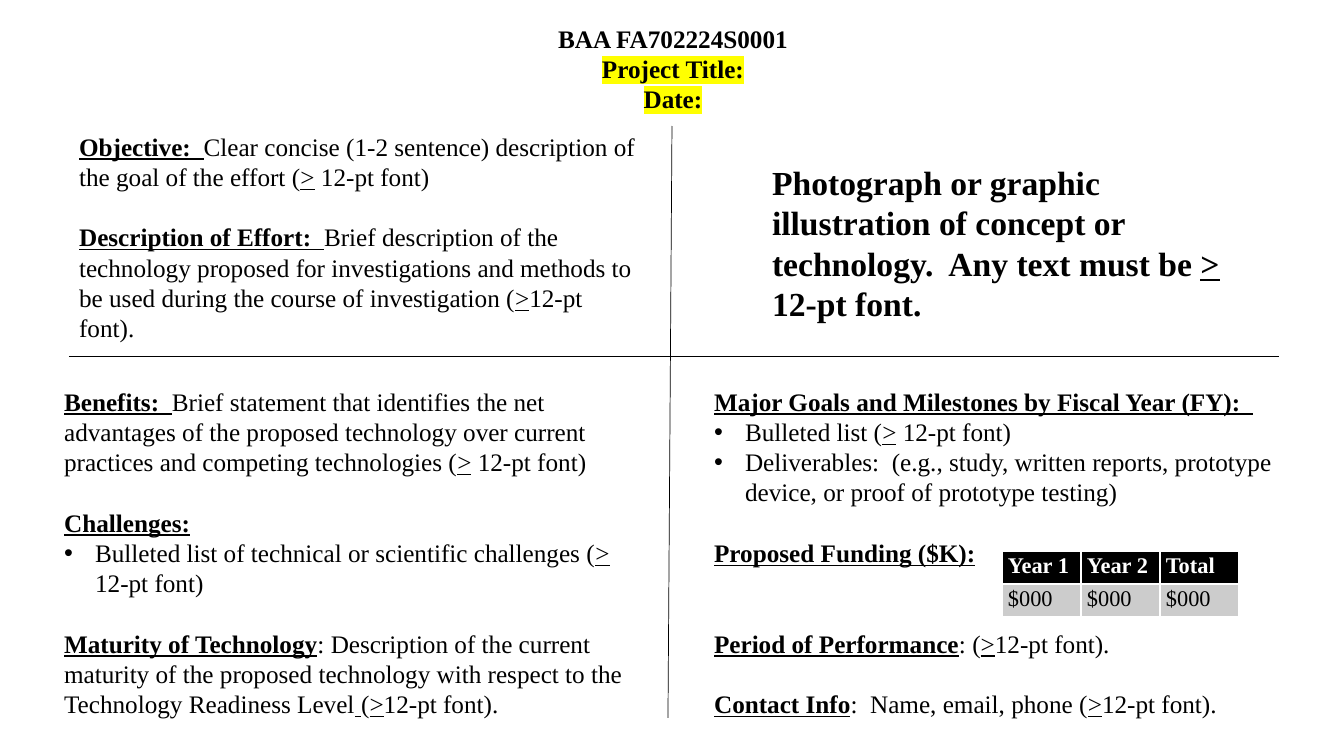
from dataclasses import dataclass

from lxml import etree
from pptx import Presentation
from pptx import util as u
from pptx.dml.color import RGBColor
from pptx.enum import shapes, text
from pptx.oxml.ns import qn

PX_PER_INCH = 100.8
COMPARISON_LAYOUT = 4  # a title and four bodies


@dataclass(frozen=True)
class Theme:
    font: str = "Times New Roman"
    ink: str = "000000"
    paper: str = "FFFFFF"
    cell: str = "CCCCCC"
    marker: str = "FFFF00"
    body: int = 18
    photo: int = 24
    table: int = 16
    gap: float = 21.6  # one empty line of body text
    rule: float = 0.5


THEME = Theme()


@dataclass(frozen=True)
class Entry:
    """One paragraph: a bold underlined heading, then detail with _underlined_ parts."""
    heading: str = ""
    detail: str = ""
    lines_before: int = 0
    bullet: bool = False


OBJECTIVE = [
    Entry("Objective:  ", "Clear concise (1-2 sentence) description of the goal "
          "of the effort (_>_ 12-pt font)"),
    Entry("Description of Effort:  ", "Brief description of the technology proposed for "
          "investigations and methods to be used during the course of investigation "
          "(_>_12-pt font).", 1),
]
PHOTO = [Entry(detail="Photograph or graphic illustration of concept or technology.  "
               "Any text must be _>_ 12-pt font.")]
BENEFITS = [
    Entry("Benefits:  ", "Brief statement that identifies the net advantages of the proposed "
          "technology over current practices and competing technologies (_>_ 12-pt font)"),
    Entry("Challenges:", lines_before=1),
    Entry(detail="Bulleted list of technical or scientific challenges (_>_ 12-pt font)",
          bullet=True),
    Entry("Maturity of Technology", ": Description of the current maturity of the proposed "
          "technology with respect to the Technology Readiness Level_ _(_>_12-pt font).", 1),
]
MILESTONES = [
    Entry("Major Goals and Milestones by Fiscal Year (FY):  "),
    Entry(detail="Bulleted list (_>_ 12-pt font)", bullet=True),
    Entry(detail="Deliverables:  (e.g., study, written reports, prototype device, "
          "or proof of prototype testing)", bullet=True),
    Entry("Proposed Funding ($K):", lines_before=1),
    Entry("Period of Performance", ": (_>_12-pt font).", 2),
    Entry("Contact Info", ":  Name, email, phone (_>_12-pt font).", 1),
]
FUNDING = [["Year 1", "Year 2", "Total"], ["$000"] * 3]


def px(length):
    return u.Emu(round(length * 914400 / PX_PER_INCH))


def write(paragraph, words, size=THEME.body, color=THEME.ink, bold=False,
          underline=False, highlight=None):
    run = paragraph.add_run()
    run.text = words
    font = run.font
    font.name, font.size = THEME.font, u.Pt(size)
    font.bold, font.underline = bold, underline
    font.color.rgb = RGBColor.from_string(color)
    if highlight:
        mark = etree.Element(qn("a:highlight"))
        etree.SubElement(mark, qn("a:srgbClr"), val=highlight)
        run._r.rPr.find(qn("a:solidFill")).addnext(mark)


def set_bullet(paragraph, bullet):
    properties = paragraph._p.get_or_add_pPr()
    indent = px(31) if bullet else 0
    properties.set("marL", str(indent))
    properties.set("indent", str(-indent))
    if bullet:
        etree.SubElement(properties, qn("a:buFont"), typeface="Arial")
        etree.SubElement(properties, qn("a:buChar"), char="•")
    else:
        etree.SubElement(properties, qn("a:buNone"))


def place(placeholder, left, top, width, height, wrap=True):
    placeholder.left, placeholder.top = px(left), px(top)
    placeholder.width, placeholder.height = px(width), px(height)
    frame = placeholder.text_frame
    frame.word_wrap = wrap
    frame.auto_size = text.MSO_AUTO_SIZE.NONE
    frame.vertical_anchor = text.MSO_ANCHOR.TOP
    return frame


def fill_title(placeholder, lines, box):
    paragraph = place(placeholder, *box, wrap=False).paragraphs[0]
    paragraph.alignment = text.PP_ALIGN.CENTER
    for number, line in enumerate(lines):
        if number:
            paragraph.add_line_break()
        write(paragraph, line, bold=True, highlight=THEME.marker if number else None)
    for line_break in paragraph._p.findall(qn("a:br")):
        etree.SubElement(line_break, qn("a:rPr"), sz=str(THEME.body * 100))


def fill_quadrant(placeholder, entries, box, size=THEME.body, bold=False):
    frame = place(placeholder, *box)
    for number, entry in enumerate(entries):
        paragraph = frame.add_paragraph() if number else frame.paragraphs[0]
        set_bullet(paragraph, entry.bullet)
        paragraph.space_before = u.Pt(THEME.gap * entry.lines_before)
        if entry.heading:
            write(paragraph, entry.heading, size, bold=True, underline=True)
        for part, words in enumerate(entry.detail.split("_")):
            if words:
                write(paragraph, words, size, bold=bold, underline=part % 2 == 1)


def add_rule(slide, *ends):
    line = slide.shapes.add_connector(shapes.MSO_CONNECTOR.STRAIGHT, *map(px, ends))
    line.line.color.rgb = RGBColor.from_string(THEME.ink)
    line.line.width = u.Pt(THEME.rule)
    etree.SubElement(line._element.spPr, qn("a:effectLst"))


def add_funding_table(slide, rows, left, top, width, height):
    table = slide.shapes.add_table(len(rows), len(rows[0]), px(left), px(top),
                                   px(width), px(height)).table
    for row, values in enumerate(rows):
        header = row == 0
        for column, value in enumerate(values):
            cell = table.cell(row, column)
            cell.margin_left = cell.margin_right = px(6)
            cell.margin_top = cell.margin_bottom = px(3)
            cell.fill.solid()
            cell.fill.fore_color.rgb = RGBColor.from_string(THEME.ink if header else THEME.cell)
            write(cell.text_frame.paragraphs[0], value, THEME.table,
                  THEME.paper if header else THEME.ink, bold=header)


def main():
    presentation = Presentation()
    presentation.slide_width, presentation.slide_height = px(1344), px(756)
    slide = presentation.slides.add_slide(presentation.slide_layouts[COMPARISON_LAYOUT])
    title, objective, benefits, photo, milestones = slide.placeholders

    add_rule(slide, 672, 126, 668, 718)
    add_rule(slide, 69, 356, 1279, 356)
    fill_title(title, ["BAA FA702224S0001", "Project Title:", "Date:"], (547, 18, 252, 102))
    fill_quadrant(objective, OBJECTIVE, (69, 126, 582, 224))
    fill_quadrant(photo, PHOTO, (762, 157, 479, 173), THEME.photo, bold=True)
    fill_quadrant(benefits, BENEFITS, (54, 381, 596, 346))
    fill_quadrant(milestones, MILESTONES, (704, 381, 605, 346))
    add_funding_table(slide, FUNDING, 1002, 551, 237, 66)
    presentation.save("out.pptx")


if __name__ == "__main__":
    main()
